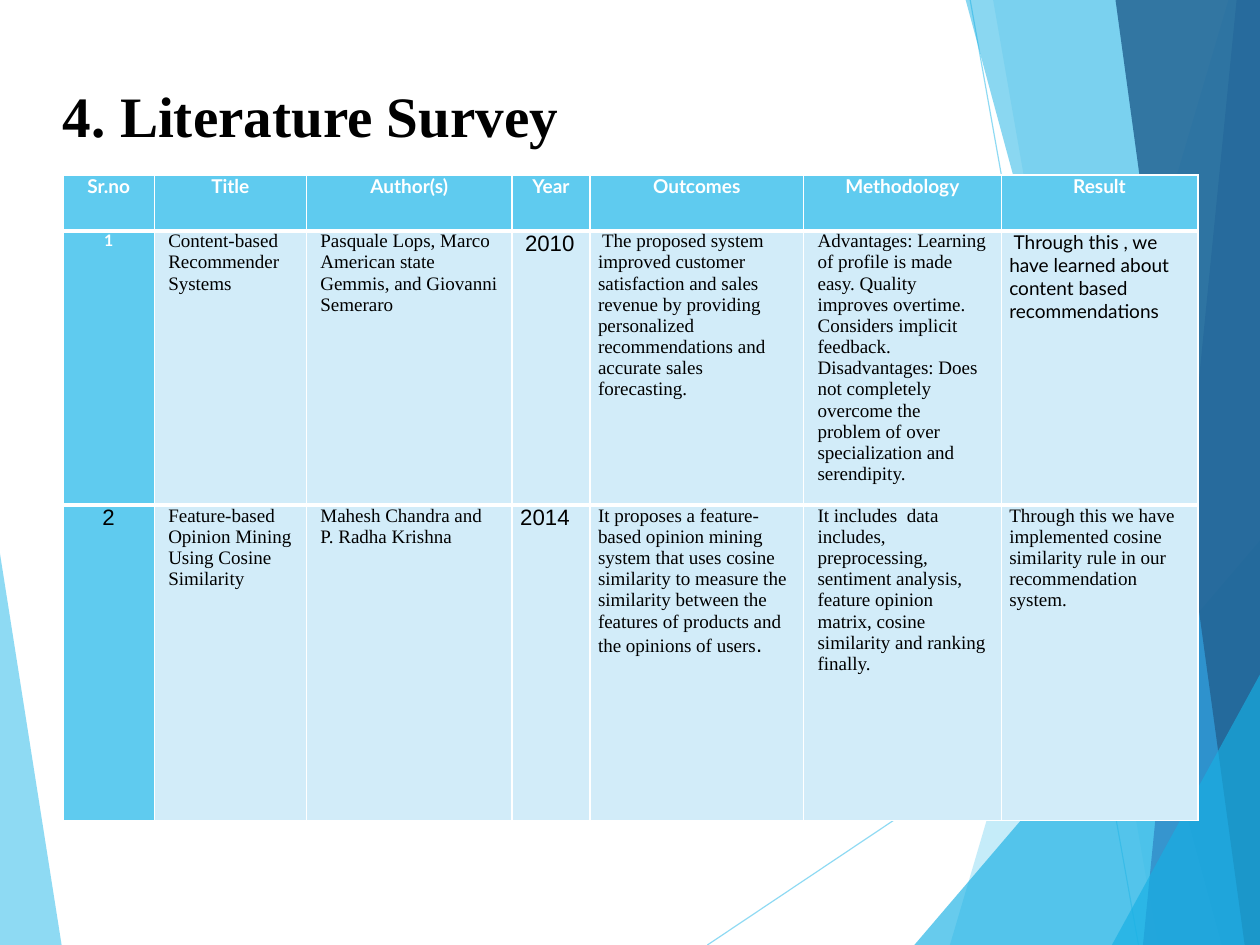
from dataclasses import dataclass

from lxml import etree
from pptx import Presentation
from pptx.dml.color import RGBColor
from pptx.enum.shapes import MSO_CONNECTOR
from pptx.enum.text import MSO_ANCHOR, PP_ALIGN
from pptx.oxml.ns import qn
from pptx.util import Cm, Pt

STRAIGHT = MSO_CONNECTOR.STRAIGHT
MIDDLE = MSO_ANCHOR.MIDDLE
LEFT, CENTER = PP_ALIGN.LEFT, PP_ALIGN.CENTER

WIDTH, HEIGHT = 28, 21
SKY, CYAN, BLUE, NAVY = "5FCBEF", "17B0E4", "2E83C3", "236292"
PALE, WHITE, BLACK = "D2ECF9", "FFFFFF", "000000"
SERIF, SANS, LATO = "Times New Roman", "Arial", "Lato"


@dataclass(frozen=True)
class Facet:
    points: tuple[tuple[float, float], ...]
    color: str
    opacity: int


@dataclass(frozen=True)
class Ray:
    start: tuple[float, float]
    end: tuple[float, float]


@dataclass(frozen=True)
class Piece:
    text: str
    font: str = SERIF
    size: int = 12
    color: str = BLACK
    bold: bool = False


Entry = list[list[Piece]]


def band(top_x: float, bottom_x: float, color: str, opacity: int) -> Facet:
    points = ((top_x, 0), (bottom_x, HEIGHT), (WIDTH, HEIGHT), (WIDTH, 0))
    return Facet(points, color, opacity)


def corner(left: float, top: float) -> Facet:
    return Facet(((left, HEIGHT), (WIDTH, top), (WIDTH, HEIGHT)), CYAN, 65)


def heading(text: str, size: int = 12) -> Entry:
    return [[Piece(text, LATO, size, WHITE, True)]]


def prose(*paragraphs: str) -> Entry:
    return [[Piece(text)] for text in paragraphs]


BACKDROP = [
    Facet(((0, 12.3), (1.37, HEIGHT), (0, HEIGHT)), SKY, 70),
    Ray((15.72, HEIGHT), (WIDTH, 12.78)),
    Ray((21.56, 0), (25.3, HEIGHT)),
    band(27.3, 21.11, SKY, 36),
    band(22.07, 25.73, SKY, 20),
    corner(20.32, 12.01),
    band(21.46, 27.15, CYAN, 50),
    band(27.48, 25.4, BLUE, 70),
    band(24.79, 27.66, NAVY, 82),
    corner(24.71, 14.99),
]

COLUMN_WIDTHS = [2.03, 3.38, 4.57, 1.73, 4.75, 4.39, 4.37]
ROW_HEIGHTS = [1.24, 6.1, 7.01]
INDENTED_COLUMNS = {1, 2, 5}
HEADERS = ["Sr.no", "Title", "Author(s)", "Year", "Outcomes", "Methodology", "Result"]
SURVEY: list[list[Entry]] = [
    [heading(name) for name in HEADERS],
    [
        heading("1", 10),
        prose("Content-based Recommender Systems"),
        prose("Pasquale Lops, Marco American state Gemmis, and Giovanni Semeraro"),
        [[Piece(" ", LATO), Piece("2010", SANS, 14)]],
        [[Piece(" ", LATO, 10),
          Piece("The proposed system improved customer satisfaction and sales revenue "
                "by providing personalized recommendations and accurate sales "
                "forecasting.")]],
        prose("Advantages: Learning of рrоfile is made easy. Quality improves "
              "overtime. Соnsiders implicit feedback.",
              "Disadvantages: Does not completely overcome the problem of over "
              "specialization and serendipity."),
        [[Piece(" Through this , we have learned about content based "
                "recommendations", LATO)]],
    ],
    [
        [[Piece("2", SANS, 14)]],
        prose("Feature-based Opinion Mining Using Cosine Similarity"),
        prose("Mahesh Chandra and P. Radha Krishna"),
        [[Piece("2014", SANS, 14)]],
        [[Piece("It proposes a feature-based opinion mining system that uses cosine "
                "similarity to measure the similarity between the features of "
                "products and the opinions of users"),
          Piece(".", SANS, 14)]],
        prose("It includes  data includes, preprocessing, sentiment analysis, "
              "feature opinion matrix, cosine similarity and ranking finally."),
        prose("Through this we have implemented cosine similarity rule in our "
              "recommendation system."),
    ],
]


def rgb(value: str) -> RGBColor:
    return RGBColor.from_string(value)


def set_opacity(properties, percent: int) -> None:
    for color in properties.iter(qn("a:srgbClr")):
        etree.SubElement(color, qn("a:alpha"), val=str(percent * 1000))


def draw_facet(slide, facet: Facet) -> None:
    points = [(Cm(x), Cm(y)) for x, y in facet.points]
    builder = slide.shapes.build_freeform(*points[0])
    builder.add_line_segments(points[1:], close=True)
    shape = builder.convert_to_shape()
    shape.shadow.inherit = False
    shape.fill.solid()
    shape.fill.fore_color.rgb = rgb(facet.color)
    shape.line.fill.background()
    set_opacity(shape.element.spPr, facet.opacity)


def draw_ray(slide, ray: Ray) -> None:
    x1, y1, x2, y2 = (Cm(value) for value in ray.start + ray.end)
    line = slide.shapes.add_connector(STRAIGHT, x1, y1, x2, y2)
    line.line.color.rgb = rgb(SKY)
    line.line.width = Pt(0.75)
    properties = line.element.spPr
    set_opacity(properties, 70)
    etree.SubElement(properties, qn("a:effectLst"))


def write_entry(frame, entry: Entry, alignment: PP_ALIGN) -> None:
    frame.word_wrap = True
    frame.text = "\n".join(pieces[0].text for pieces in entry)
    for paragraph, pieces in zip(frame.paragraphs, entry):
        paragraph.alignment = alignment
        for piece in pieces[1:]:
            paragraph.add_run().text = piece.text
        for run, piece in zip(paragraph.runs, pieces):
            run.font.name = piece.font
            run.font.size = Pt(piece.size)
            run.font.bold = piece.bold
            run.font.color.rgb = rgb(piece.color)


def set_borders(cell, top: int, bottom: int) -> None:
    properties = cell._tc.get_or_add_tcPr()
    for side, width in (("L", 1), ("R", 1), ("T", top), ("B", bottom)):
        border = etree.SubElement(properties, qn(f"a:ln{side}"), w=str(Pt(width)))
        fill = etree.SubElement(border, qn("a:solidFill"))
        etree.SubElement(fill, qn("a:srgbClr"), val=WHITE)


def draw_title(slide) -> None:
    title = slide.shapes.add_textbox(Cm(1.4), Cm(0.84), Cm(25.2), Cm(3.5))
    frame = title.text_frame
    frame.margin_left = frame.margin_right = frame.margin_bottom = 0
    frame.margin_top = Cm(0.08)
    frame.vertical_anchor = MIDDLE
    write_entry(frame, [[Piece("4. Literature Survey", SERIF, 36, BLACK, True)]], LEFT)
    frame.paragraphs[0].line_spacing = 0.93


def draw_survey(slide) -> None:
    table = slide.shapes.add_table(
        len(ROW_HEIGHTS), len(COLUMN_WIDTHS), Cm(1.4), Cm(3.89),
        Cm(sum(COLUMN_WIDTHS)), Cm(sum(ROW_HEIGHTS))).table
    table.first_row = table.horz_banding = False
    for column, width in zip(table.columns, COLUMN_WIDTHS):
        column.width = Cm(width)
    for row, height in zip(table.rows, ROW_HEIGHTS):
        row.height = Cm(height)
    last = len(SURVEY) - 1
    for r, entries in enumerate(SURVEY):
        for c, entry in enumerate(entries):
            cell = table.cell(r, c)
            is_header = r == 0 or c == 0
            is_indented = r > 0 and c in INDENTED_COLUMNS
            cell.margin_left = cell.margin_right = Cm(0.31 if is_indented else 0.18)
            cell.margin_top = cell.margin_bottom = 0
            set_borders(cell, 3 if r > 0 else 1, 3 if r < last else 1)
            cell.fill.solid()
            cell.fill.fore_color.rgb = rgb(SKY if is_header else PALE)
            write_entry(cell.text_frame, entry, CENTER if is_header else LEFT)


def main() -> None:
    deck = Presentation()
    deck.slide_width, deck.slide_height = Cm(WIDTH), Cm(HEIGHT)
    slide = deck.slides.add_slide(deck.slide_layouts[6])
    for part in BACKDROP:
        if isinstance(part, Facet):
            draw_facet(slide, part)
        else:
            draw_ray(slide, part)
    draw_title(slide)
    draw_survey(slide)
    deck.save("out.pptx")


if __name__ == "__main__":
    main()
